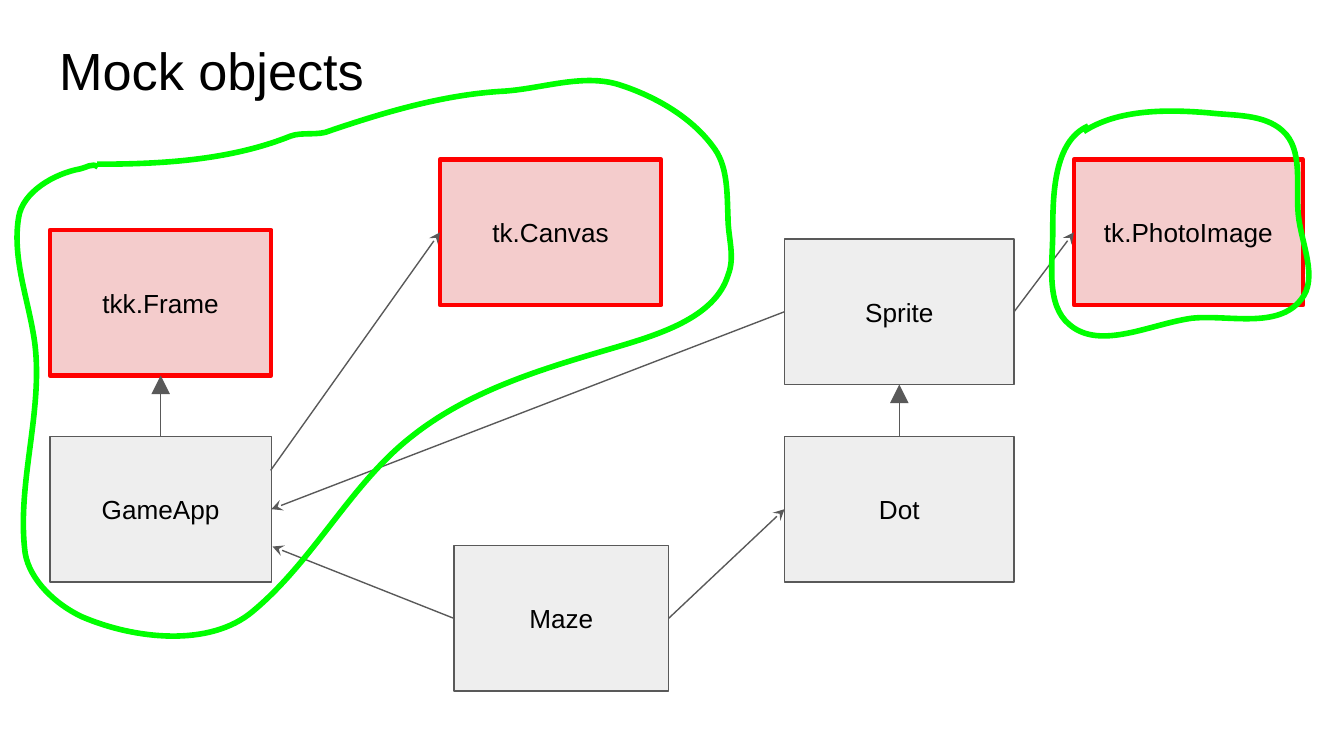
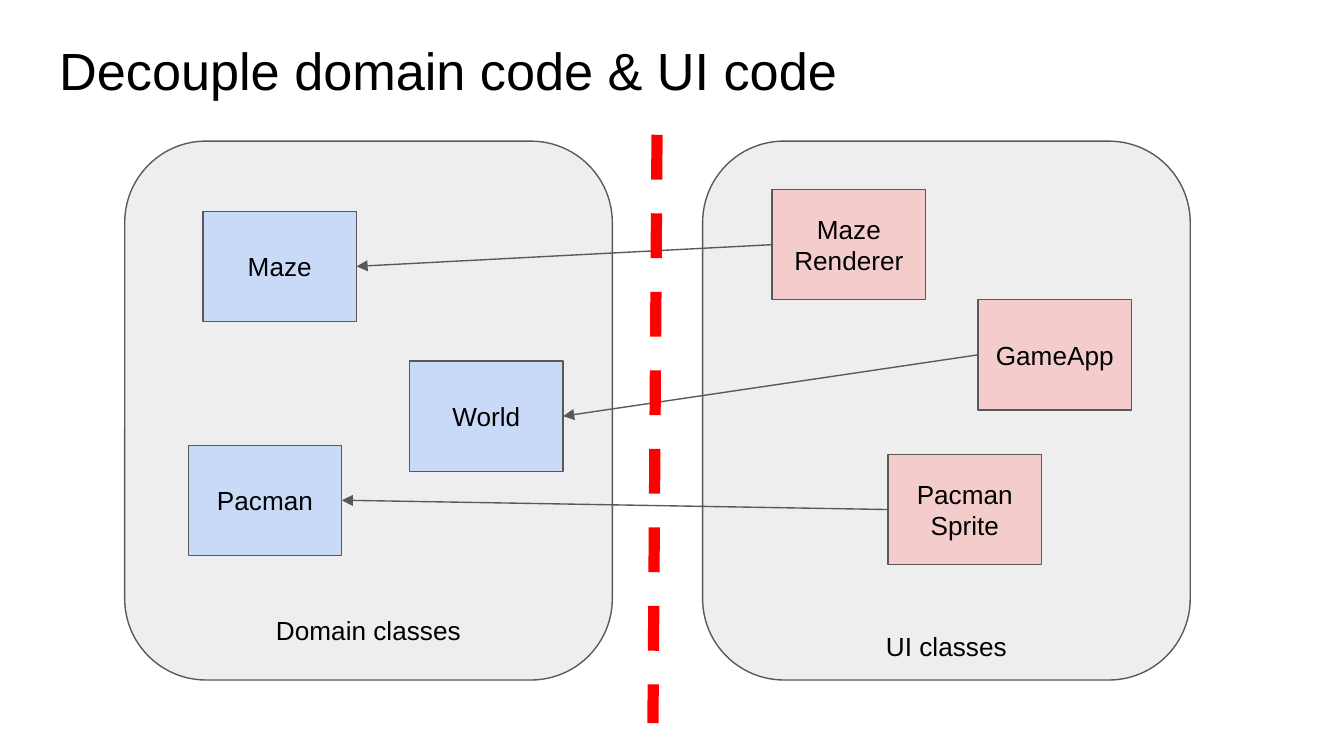
from lxml.etree import SubElement
from pptx import Presentation
from pptx.dml.color import RGBColor
from pptx.enum.dml import MSO_LINE
from pptx.enum.shapes import MSO_CONNECTOR, MSO_SHAPE
from pptx.enum.text import MSO_ANCHOR, MSO_AUTO_SIZE, PP_ALIGN
from pptx.oxml.ns import qn
from pptx.util import Pt

FONT = "Arial"
INSET = 7.2
HEX = {"ink": "000000", "edge": "595959", "grey": "EEEEEE", "pink": "F4CCCC",
       "blue": "C9DAF8", "red": "FF0000", "green": "00FF00"}

# Slide 1: name, left, top, width
MOCK_H = 78
REAL = [("Maze", 243.2, 292.3, 115), ("Dot", 420.3, 233.8, 123),
        ("Sprite", 420.3, 128, 123), ("GameApp", 26.8, 233.8, 118.6)]
MOCKS = [("tkk.Frame", 26.8, 123.2, 118.6),
         ("tk.PhotoImage", 575.3, 85.5, 122.8),
         ("tk.Canvas", 235.7, 85.5, 118.6)]
# Each end is a (box, side) pair or a plain (x, y) point
USES = [(("Maze", "left"), (146, 292.8)),
        (("Maze", "right"), ("Dot", "left")),
        ((145, 252), ("tk.Canvas", "left")),
        (("Sprite", "left"), ("GameApp", "right")),
        (("Sprite", "right"), ("tk.PhotoImage", "left"))]
EXTENDS = [(("GameApp", "top"), ("tkk.Frame", "bottom")),
           (("Dot", "top"), ("Sprite", "bottom"))]
# Start point, then two control points and an end point per curve
LOOPS = [
    [(52, 88),
     (86, 88), (123, 86), (155.5, 73),
     (162, 70.5), (170.5, 73), (177, 70),
     (206.5, 60), (237, 51), (268, 49),
     (289.5, 48), (312, 39), (332, 45.5),
     (352, 52), (371.5, 63.5), (383, 80),
     (390, 90), (389.5, 104.5), (390, 116.5),
     (390, 127.5), (394, 137.5), (390, 147.5),
     (383, 170.5), (352, 179.5), (328.5, 186.5),
     (291, 197.5), (252, 209), (221, 233.5),
     (188, 259), (168.5, 300), (135.5, 327.5),
     (112.5, 347), (72, 342.5), (44, 330.5),
     (30, 324), (16, 311), (13.5, 296.5),
     (8.5, 258), (24.5, 217.5), (18, 179.5),
     (14.5, 158.5), (6.5, 137.5), (10, 116.5),
     (12, 103), (29, 93), (43, 90.5),
     (46, 90), (49.5, 87), (52.5, 89.5)],
    [(583, 67.5),
     (564.5, 75.5), (564, 104.5), (564, 124),
     (564, 141), (560, 163.5), (573, 174),
     (589.5, 188), (616.5, 173.5), (638.5, 170.5),
     (658, 168.5), (684.5, 176.5), (697, 160.5),
     (706.5, 149), (697, 130.5), (695.5, 115),
     (694, 100), (698.5, 80), (687, 70),
     (677, 61), (661, 62), (648, 60.5),
     (625, 58.5), (599, 58.5), (580.5, 70.5)],
]

# Slide 2
PANELS = [("Domain classes", 66.8, 241), ("UI classes", 376.4, 249.5)]
PANEL_TOP, PANEL_W, PANEL_H = 75.6, 261.2, 288.7
CLASS_W, CLASS_H = 82.2, 59
CLASSES = [("Maze", 108.8, 113.2, "blue"), ("Pacman", 100.9, 238.5, "blue"),
           ("Maze\nRenderer", 413.7, 101.6, "pink"),
           ("Pacman\nSprite", 475.8, 243.5, "pink"),
           ("World", 219.5, 193.5, "blue"), ("GameApp", 524, 160.6, "pink")]
DRAWS = [("Maze\nRenderer", "Maze"), ("Pacman\nSprite", "Pacman"),
         ("GameApp", "World")]
DIVIDE = (352, 72.2), (349.8, 387.4)

# Side: connection site, share of width, share of height
SIDES = {"top": (0, .5, 0), "left": (1, 0, .5),
         "bottom": (2, .5, 1), "right": (3, 1, .5)}


def rgb(name):
    return RGBColor.from_string(HEX[name])


def write(frame, text, size, align):
    for i, part in enumerate(text.split("\n")):
        para = frame.paragraphs[0] if i == 0 else frame.add_paragraph()
        para.alignment = align
        run = para.add_run()
        run.text = part
        run.font.name, run.font.size = FONT, Pt(size)
        run.font.color.rgb = rgb("ink")


def pad(frame, top=INSET, low=INSET):
    frame.margin_left = frame.margin_right = Pt(INSET)
    frame.margin_top, frame.margin_bottom = Pt(top), Pt(low)
    frame.word_wrap = True


def start(deck, text):
    """Add a title-only slide and format its title."""
    slide = deck.slides.add_slide(deck.slide_layouts[5])
    title = slide.shapes.title
    title.left, title.top = Pt(24.5), Pt(17)
    title.width, title.height = Pt(671), Pt(45)
    frame = title.text_frame
    pad(frame)
    frame.auto_size = MSO_AUTO_SIZE.NONE
    frame.vertical_anchor = MSO_ANCHOR.TOP
    write(frame, text, 28, PP_ALIGN.LEFT)
    frame.paragraphs[0].line_spacing = .9
    return slide


def stroke(shape, color, width):
    shape.line.color.rgb = rgb(color)
    shape.line.width = Pt(width)


def add_box(slide, text, rect, fill, edge="edge", width=.75,
            kind=MSO_SHAPE.RECTANGLE):
    box = slide.shapes.add_shape(kind, *map(Pt, rect))
    box.shadow.inherit = False
    box.fill.solid()
    box.fill.fore_color.rgb = rgb(fill)
    stroke(box, edge, width)
    frame = box.text_frame
    pad(frame)
    frame.vertical_anchor = MSO_ANCHOR.MIDDLE
    write(frame, text, 14, PP_ALIGN.CENTER)
    return box


def add_line(slide, ends, color="edge", width=.75, dash=None):
    (x1, y1), (x2, y2) = ends
    line = slide.shapes.add_connector(MSO_CONNECTOR.STRAIGHT, x1, y1, x2, y2)
    stroke(line, color, width)
    if dash:
        line.line.dash_style = dash
    SubElement(line.element.spPr, qn("a:effectLst"))
    return line


def spot(end, boxes):
    if end[0] not in boxes:
        return Pt(end[0]), Pt(end[1])
    box, (_, dx, dy) = boxes[end[0]], SIDES[end[1]]
    return int(box.left + dx * box.width), int(box.top + dy * box.height)


def add_arrow(slide, boxes, ends, head, size="med"):
    line = add_line(slide, [spot(end, boxes) for end in ends])
    for end, join in zip(ends, (line.begin_connect, line.end_connect)):
        if end[0] in boxes:
            join(boxes[end[0]], SIDES[end[1]][0])
    SubElement(line.element.spPr.find(qn("a:ln")), qn("a:tailEnd"),
               type=head, w=size, len=size)


def trace(loop, steps=12):
    """List points along the curves, to measure how far they reach."""
    points = []
    for i in range(0, len(loop) - 1, 3):
        for step in range(1, steps + 1):
            t = step / steps
            u = 1 - t
            parts = u ** 3, 3 * u * u * t, 3 * u * t * t, t ** 3
            points.append(tuple(
                Pt(sum(k * p[axis] for k, p in zip(parts, loop[i:i + 4])))
                for axis in (0, 1)))
    return points


def add_loop(slide, loop):
    """Size a freeform by its traced points, then give it true curves."""
    pen = slide.shapes.build_freeform(*map(Pt, loop[0]))
    pen.add_line_segments(trace(loop), close=False)
    shape = pen.convert_to_shape()
    route = next(shape.element.iter(qn("a:path")))
    for leg in route.findall(qn("a:lnTo")):
        route.remove(leg)
    for i in range(1, len(loop), 3):
        curve = SubElement(route, qn("a:cubicBezTo"))
        for x, y in loop[i:i + 3]:
            SubElement(curve, qn("a:pt"), x=str(Pt(x) - shape.left),
                       y=str(Pt(y) - shape.top))
    shape.shadow.inherit = False
    shape.fill.background()
    stroke(shape, "green", 3)


def mock_slide(deck):
    slide = start(deck, "Mock objects")
    boxes = {}
    for group, style in ((REAL, ("grey",)), (MOCKS, ("pink", "red", 2.25))):
        for name, x, y, w in group:
            boxes[name] = add_box(slide, name, (x, y, w, MOCK_H), *style)
    for ends in USES:
        add_arrow(slide, boxes, ends, "stealth")
    for ends in EXTENDS:
        add_arrow(slide, boxes, ends, "triangle", "lg")
    for loop in LOOPS:
        add_loop(slide, loop)


def split_slide(deck):
    slide = start(deck, "Decouple domain code & UI code")
    for name, x, drop in PANELS:
        panel = add_box(slide, name, (x, PANEL_TOP, PANEL_W, PANEL_H), "grey",
                        kind=MSO_SHAPE.ROUNDED_RECTANGLE)
        panel.adjustments[0] = .167
        panel.text_frame.vertical_anchor = MSO_ANCHOR.TOP
        pad(panel.text_frame, drop, 0)
    boxes = {name: add_box(slide, name, (x, y, CLASS_W, CLASS_H), fill)
             for name, x, y, fill in CLASSES}
    for view, model in DRAWS:
        add_arrow(slide, boxes, ((view, "left"), (model, "right")), "triangle")
    add_line(slide, [spot(end, {}) for end in DIVIDE], "red", 6, MSO_LINE.DASH)


def main():
    deck = Presentation()
    deck.slide_width, deck.slide_height = Pt(720), Pt(405)
    mock_slide(deck)
    split_slide(deck)
    deck.save("out.pptx")


if __name__ == "__main__":
    main()
